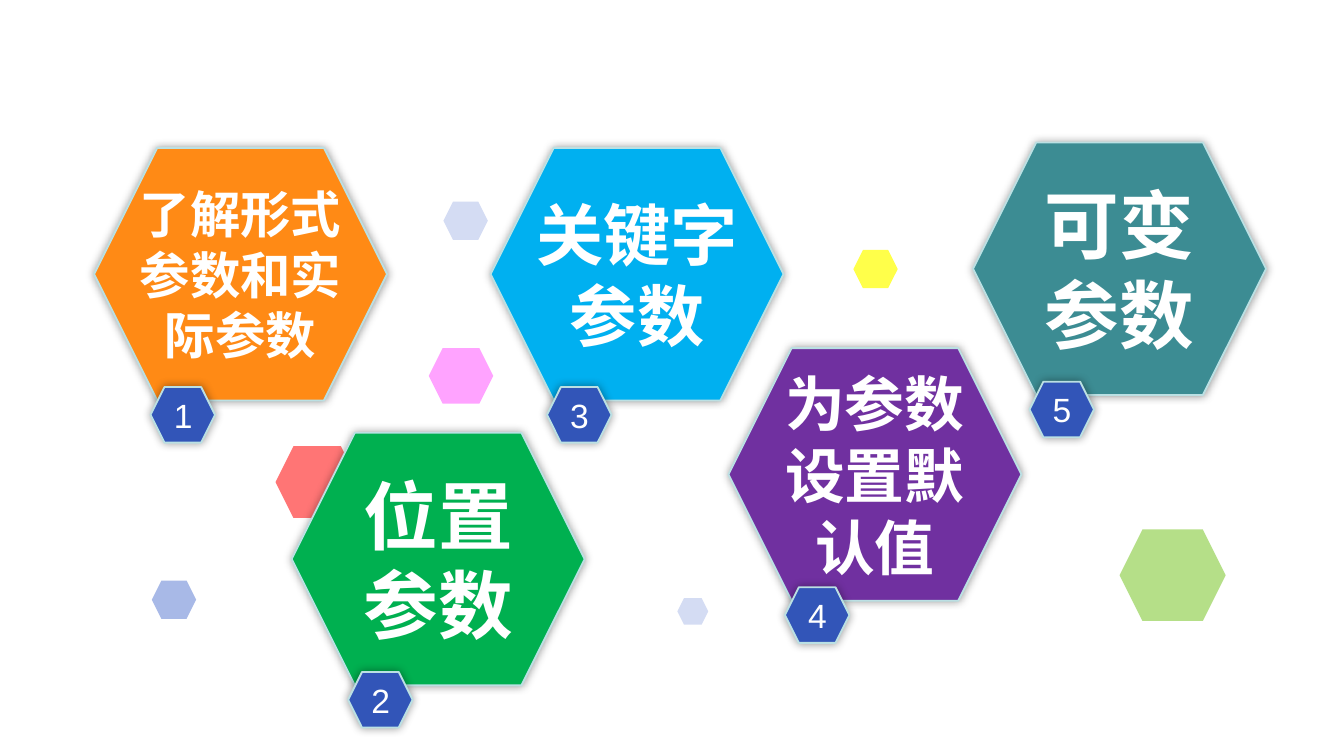
from lxml import etree
from pptx import Presentation
from pptx.dml.color import RGBColor
from pptx.enum.shapes import MSO_SHAPE
from pptx.enum.text import MSO_ANCHOR, PP_ALIGN
from pptx.oxml.ns import qn
from pptx.util import Inches, Pt

HEXAGON = MSO_SHAPE.HEXAGON
MIDDLE = MSO_ANCHOR.MIDDLE
CENTER = PP_ALIGN.CENTER

WHITE = RGBColor(0xFF, 0xFF, 0xFF)
OUTLINE = RGBColor(0xBB, 0xE0, 0xE3)
BADGE_BLUE = RGBColor(0x32, 0x55, 0xB8)
ORANGE = RGBColor(0xFF, 0x8A, 0x15)
GREEN = RGBColor(0x00, 0xB0, 0x50)
CYAN = RGBColor(0x00, 0xB0, 0xF0)
PURPLE = RGBColor(0x70, 0x30, 0xA0)
TEAL = RGBColor(0x3C, 0x8C, 0x93)
PINK = RGBColor(0xFF, 0x66, 0xFF)
RED = RGBColor(0xFF, 0x00, 0x00)
YELLOW = RGBColor(0xFF, 0xFF, 0x00)
LIME = RGBColor(0x92, 0xD0, 0x50)
PERIWINKLE = RGBColor(0xA8, 0xB9, 0xE7)
PALE_BLUE = RGBColor(0xD4, 0xDC, 0xF3)

SLIDE_WIDTH = 10
SLIDE_HEIGHT = SLIDE_WIDTH * 9 / 16
HEXAGON_RATIO = 1.88 / 2.18
CARD_WIDTH, BADGE_WIDTH = 2.18, 0.48
BADGE_OFFSET_X, BADGE_OFFSET_Y = 0.42, 1.78
TITLE_FONT, NUMBER_FONT = "Noto Sans CJK SC", "Arial"

# left, top, width, colour, opacity in percent
DOTS = [
    (3.19, 2.59, 0.48, PINK, 60),
    (2.05, 3.32, 0.62, RED, 54),
    (1.13, 4.32, 0.33, PERIWINKLE, 100),
    (5.04, 4.45, 0.23, PALE_BLUE, 100),
    (3.30, 1.50, 0.33, PALE_BLUE, 100),
    (6.35, 1.86, 0.33, YELLOW, 71),
    (8.33, 3.94, 0.79, LIME, 68),
]

# number, title, left, top, colour, text size; from back to front
CARDS = [
    (4, "为参数设置默认值", 5.42, 2.59, PURPLE, 32),
    (2, "位置参数", 2.17, 3.22, GREEN, 40),
    (3, "关键字参数", 3.65, 1.10, CYAN, 36),
    (1, "了解形式参数和实际参数", 0.70, 1.10, ORANGE, 27),
    (5, "可变参数", 7.24, 1.06, TEAL, 40),
]


def add_hexagon(shapes, left, top, width, color):
    shape = shapes.add_shape(
        HEXAGON, Inches(left), Inches(top),
        Inches(width), Inches(width * HEXAGON_RATIO))
    shape.shadow.inherit = False
    shape.fill.solid()
    shape.fill.fore_color.rgb = color
    shape.line.fill.background()
    return shape


def add_alpha(color_element, percent):
    etree.SubElement(color_element, qn("a:alpha"), val=str(percent * 1000))


def add_dot(shapes, left, top, width, color, opacity):
    shape = add_hexagon(shapes, left, top, width, color)
    if opacity < 100:
        fill_color = shape.element.find(
            f"{qn('p:spPr')}/{qn('a:solidFill')}/{qn('a:srgbClr')}")
        add_alpha(fill_color, opacity)


def add_glow_shadow(shape):
    """Add an even soft shadow on all sides."""
    effects = shape.element.find(f"{qn('p:spPr')}/{qn('a:effectLst')}")
    shadow = etree.SubElement(
        effects, qn("a:outerShdw"), blurRad=str(Pt(5)), dist="0", dir="0",
        algn="ctr", rotWithShape="0")
    add_alpha(etree.SubElement(shadow, qn("a:srgbClr"), val="000000"), 40)


def set_text(shape, text, *, size, font, bold=False, side_inset=0.1):
    frame = shape.text_frame
    frame.word_wrap = True
    frame.vertical_anchor = MIDDLE
    frame.margin_left = frame.margin_right = Inches(side_inset)
    paragraph = frame.paragraphs[0]
    paragraph.alignment = CENTER
    run = paragraph.add_run()
    run.text = text
    run.font.size = Pt(size)
    run.font.bold = bold
    run.font.name = font
    run.font.color.rgb = WHITE
    east_asian = etree.Element(qn("a:ea"), typeface=font)
    run.font._element.find(qn("a:latin")).addnext(east_asian)


def add_outlined_hexagon(shapes, left, top, width, color, text, **text_format):
    shape = add_hexagon(shapes, left, top, width, color)
    shape.line.color.rgb = OUTLINE
    shape.line.width = Pt(1)
    add_glow_shadow(shape)
    set_text(shape, text, **text_format)


def add_card(slide, number, title, left, top, color, size):
    """Group a large titled hexagon with its number badge."""
    shapes = slide.shapes.add_group_shape().shapes
    add_outlined_hexagon(
        shapes, left, top, CARD_WIDTH, color, title,
        size=size, font=TITLE_FONT, bold=True, side_inset=0)
    add_outlined_hexagon(
        shapes, left + BADGE_OFFSET_X, top + BADGE_OFFSET_Y, BADGE_WIDTH,
        BADGE_BLUE, str(number), size=18, font=NUMBER_FONT)


def main():
    presentation = Presentation()
    presentation.slide_width = Inches(SLIDE_WIDTH)
    presentation.slide_height = Inches(SLIDE_HEIGHT)
    blank_layout = presentation.slide_layouts[6]
    slide = presentation.slides.add_slide(blank_layout)
    for dot in DOTS:
        add_dot(slide.shapes, *dot)
    for card in CARDS:
        add_card(slide, *card)
    presentation.save("out.pptx")


if __name__ == "__main__":
    main()
